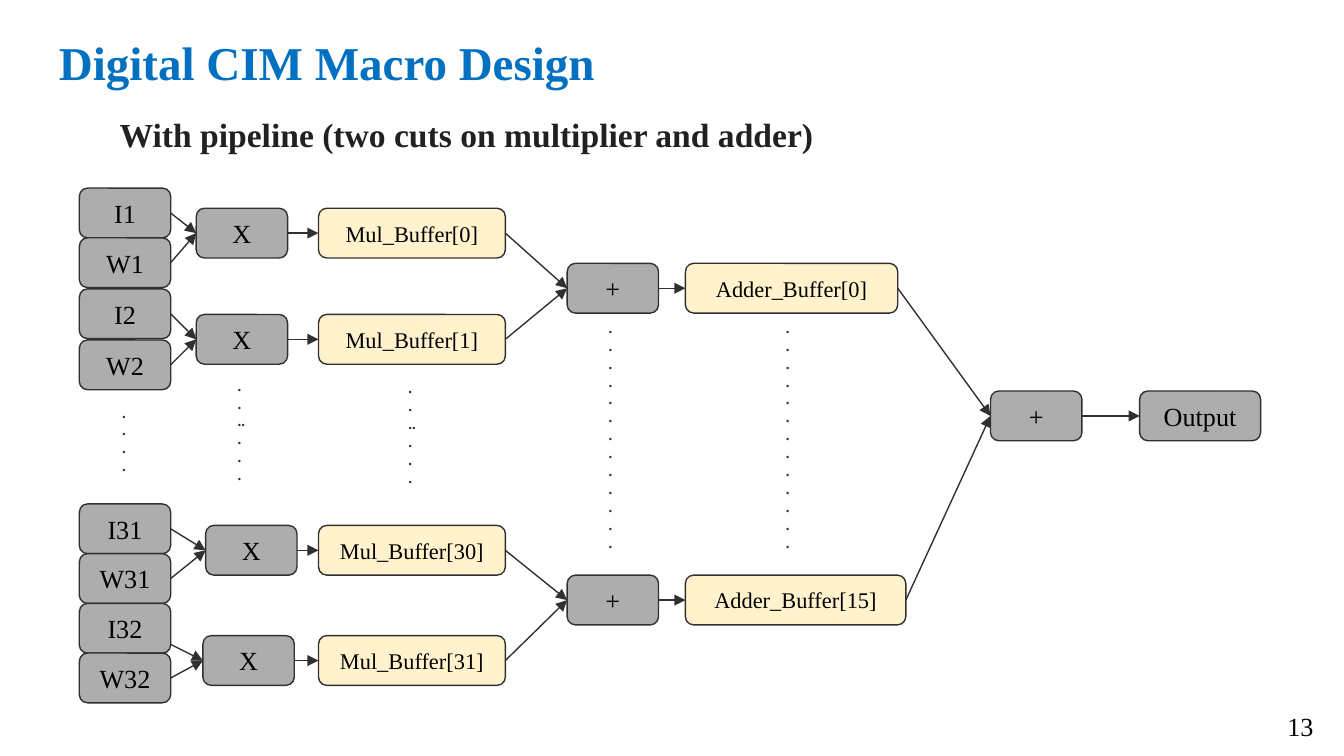
from lxml import etree
from pptx import Presentation
from pptx import util as u
from pptx.dml.color import RGBColor
from pptx.enum import shapes, text
from pptx.oxml.ns import qn

FONT = "Times New Roman"
GRAY, CREAM, INK, BLACK = "ADADAD", "FFF2CC", "303030", "000000"
BOX_WIDTH, BOX_HEIGHT = 0.68, 0.37
RIGHT, LEFT = 3, 1


def color(value):
    return RGBColor.from_string(value)


def set_font(paragraph, size, value, bold=False):
    font = paragraph.font
    font.name, font.size, font.bold = FONT, u.Pt(size), bold
    font.color.rgb = color(value)


def add_text(slide, box, lines, size, value, bold=False, margin_left=0.1, margin_y=0.1):
    text_box = slide.shapes.add_textbox(*map(u.Inches, box))
    frame = text_box.text_frame
    frame.word_wrap = True
    frame.margin_left, frame.margin_right = u.Inches(margin_left), u.Inches(0.1)
    frame.margin_top = frame.margin_bottom = u.Inches(margin_y)
    frame.text = "\n".join(lines)
    for paragraph in frame.paragraphs:
        set_font(paragraph, size, value, bold)
    return frame


def add_block(slide, left, top, label, width=BOX_WIDTH, fill=GRAY, size=14):
    shape = slide.shapes.add_shape(
        shapes.MSO_SHAPE.ROUNDED_RECTANGLE,
        *map(u.Inches, (left, top, width, BOX_HEIGHT)))
    shape.shadow.inherit = False
    shape.fill.solid()
    shape.fill.fore_color.rgb = color(fill)
    shape.line.color.rgb = color(INK)
    shape.line.width = u.Pt(0.75)
    frame = shape.text_frame
    frame.margin_left = frame.margin_right = u.Inches(0.1)
    frame.margin_top = frame.margin_bottom = u.Inches(0.1)
    frame.vertical_anchor = text.MSO_ANCHOR.MIDDLE
    frame.text = label
    paragraph = frame.paragraphs[0]
    paragraph.alignment = text.PP_ALIGN.CENTER
    set_font(paragraph, size, BLACK)
    return shape


def add_arrow(slide, source, target, drop=0):
    """Join source to target; a drop starts the arrow below the source's middle."""
    arrow = slide.shapes.add_connector(
        shapes.MSO_CONNECTOR.STRAIGHT,
        source.left + source.width, source.top + source.height // 2 + u.Inches(drop),
        target.left, target.top + target.height // 2)
    if not drop:
        arrow.begin_connect(source, RIGHT)
    arrow.end_connect(target, LEFT)
    arrow.line.color.rgb = color(INK)
    arrow.line.width = u.Pt(0.75)
    properties = arrow.element.spPr
    etree.SubElement(properties.find(qn("a:ln")), qn("a:tailEnd"), type="triangle")
    etree.SubElement(properties, qn("a:effectLst"))


def add_heading(slide, left, top, width):
    add_text(slide, (left, top, width, 0.63), ["Digital CIM Macro Design"],
             25.2, "0070C0", bold=True)
    frame = add_text(slide, (left + 0.14, top + 0.55, width, 0.58),
                     ["With pipeline (two cuts on multiplier and adder)"],
                     18, "212121", bold=True, margin_left=0.41)
    frame.paragraphs[0].line_spacing = 1.15
    frame.paragraphs[0].space_after = u.Pt(12)


def add_multiplier(slide, left, top, number, buffer, x_offset, y_offset,
                   pitch=BOX_HEIGHT, drop=0):
    """Input and weight feeding a multiplier; returns its buffer block."""
    data = add_block(slide, left, top, f"I{number}")
    weight = add_block(slide, left, top + pitch, f"W{number}")
    multiplier = add_block(slide, left + x_offset, top + y_offset, "X")
    mul_buffer = add_block(slide, left + 1.78, top + y_offset, f"Mul_Buffer[{buffer}]",
                           1.39, CREAM, 12)
    add_arrow(slide, data, multiplier, drop)
    add_arrow(slide, weight, multiplier)
    add_arrow(slide, multiplier, mul_buffer)
    return mul_buffer


def add_adder(slide, left, top, sources, label, gap, width, **style):
    """An adder fed by the sources; returns the block that holds its sum."""
    adder = add_block(slide, left, top, "+")
    result = add_block(slide, left + BOX_WIDTH + gap, top, label, width, **style)
    for source in sources:
        add_arrow(slide, source, adder)
    add_arrow(slide, adder, result)
    return result


def add_pipeline(slide, left, top):
    # top offset, number, buffer, multiplier offsets, pitch, drop of first arrow
    multipliers = [
        (0, 1, 0, 0.87, 0.15, 0.37, 0),
        (0.75, 2, 1, 0.87, 0.19, 0.38, 0),
        (2.35, 31, 30, 0.94, 0.16, 0.37, 0),
        (3.09, 32, 31, 0.92, 0.24, 0.37, 0.12),
    ]
    mul_buffers = [add_multiplier(slide, left, top + offset, *rest)
                   for offset, *rest in multipliers]
    adders = [(0.56, mul_buffers[:2], 0, 1.58), (2.88, mul_buffers[2:], 15, 1.64)]
    adder_buffers = [
        add_adder(slide, left + 3.63, top + offset, sources, f"Adder_Buffer[{index}]",
                  0.2, width, fill=CREAM, size=12)
        for offset, sources, index, width in adders]
    add_adder(slide, left + 6.78, top + 1.51, adder_buffers, "Output", 0.43, 0.9)

    long_column = ["."] * 13
    doubled_column = [".", ".", "..", ".", ".", "."]
    for x, y, height, dots in [
            (0.22, 1.5, 0.74, ["."] * 4),
            (1.08, 1.3, 1.21, doubled_column),
            (2.35, 1.32, 1.21, doubled_column),
            (3.84, 0.87, 1.98, long_column),
            (5.16, 0.87, 1.98, long_column)]:
        add_text(slide, (left + x, top + y, 0.26, height), dots, 8, INK, bold=True)


def main():
    presentation = Presentation()
    presentation.slide_width = u.Inches(10)
    presentation.slide_height = presentation.slide_width * 9 // 16
    slide = presentation.slides.add_slide(presentation.slide_layouts[6])
    add_heading(slide, 0.34, 0.15, 9.32)
    add_pipeline(slide, 0.59, 1.4)
    add_text(slide, (9.48, 5.24, 0.63, 0.34), ["13"], 14, BLACK, margin_y=0.05)
    presentation.save("out.pptx")


if __name__ == "__main__":
    main()
